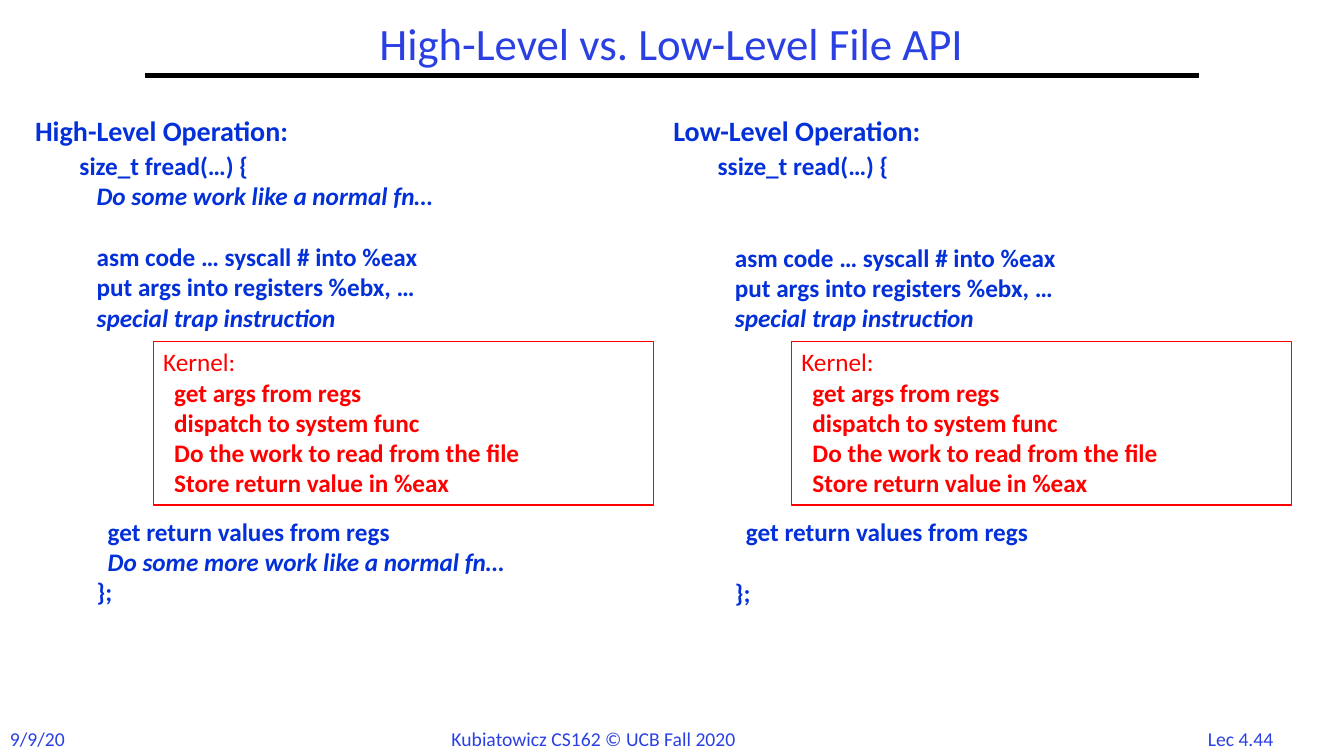
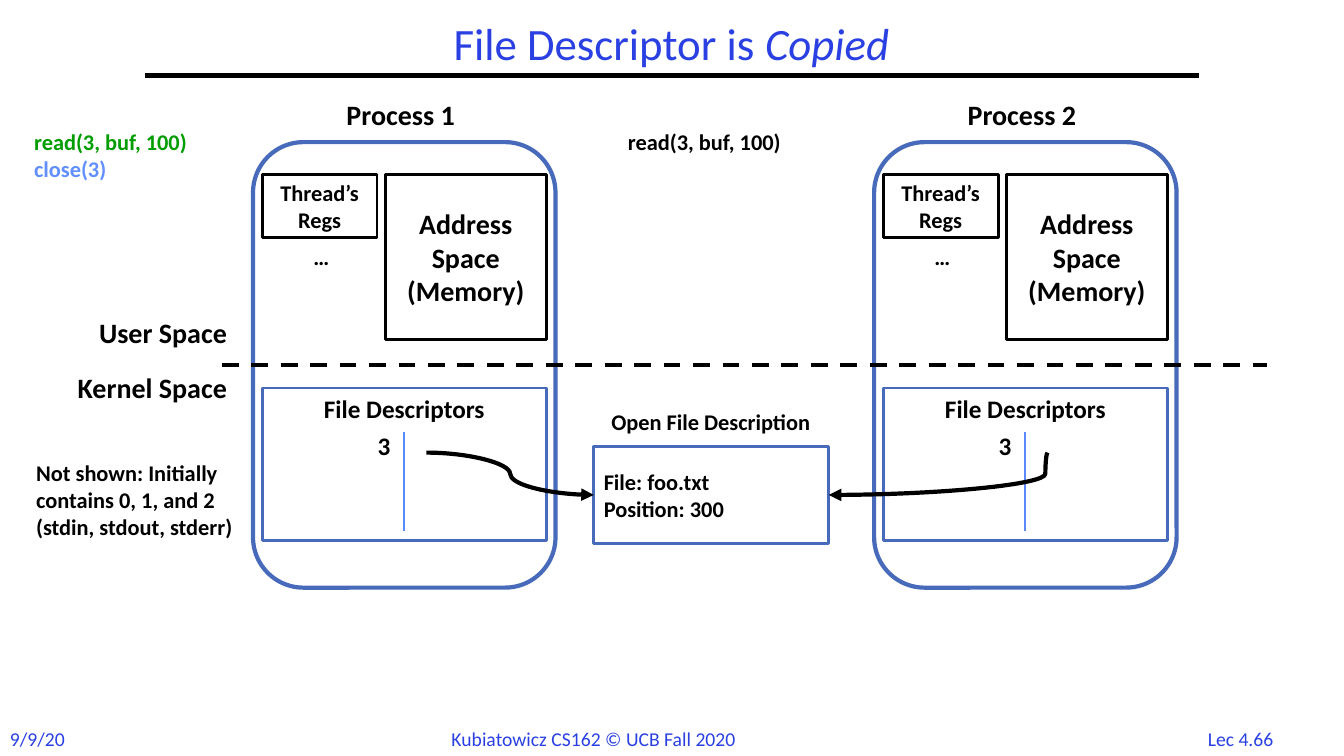
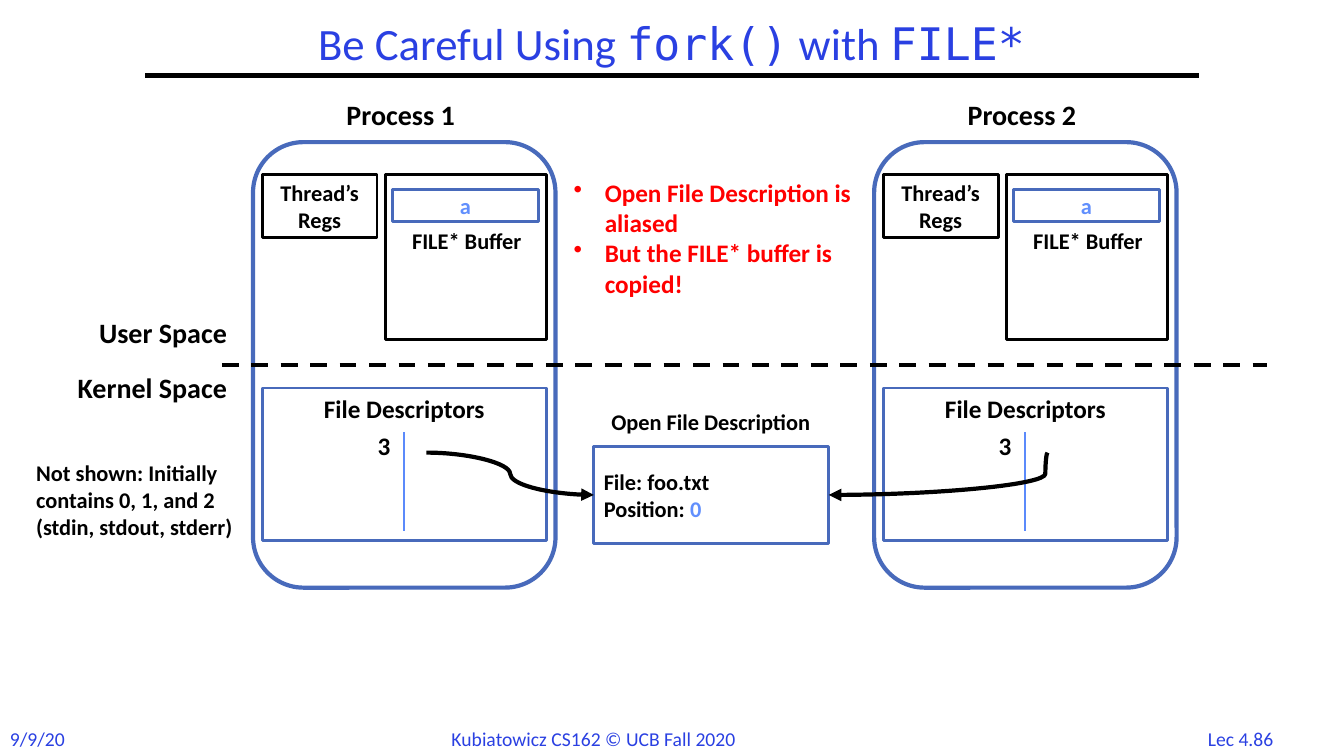
import pptx
import pptx.util
import pptx.dml.color
import pptx.enum.dml
import pptx.enum.shapes
import pptx.enum.text
import pptx.oxml
import pptx.oxml.ns
import lxml.etree

Inches = pptx.util.Inches
Pt = pptx.util.Pt
ALIGN = pptx.enum.text.PP_ALIGN
ANCHOR = pptx.enum.text.MSO_ANCHOR
SHAPE = pptx.enum.shapes.MSO_SHAPE
LINK = pptx.enum.shapes.MSO_CONNECTOR

FONT, MONO = "Calibri", "DejaVu Sans Mono"
TITLE, CODE, RED = "2A40E2", "0330D8", "FF0000"
BLACK, WHITE, GREEN = "000000", "FFFFFF", "009D00"
FRAME, RULE, SKY = "486ABB", "5B8AFB", "618FFD"

# A line of text is a string or a dict; a run is a pair of text and font options.
BLANK = 22
INNER = 0.17
FOOTER = "Kubiatowicz CS162 © UCB Fall 2020"
DATE = "9/9/20"

TRAP = [
    {"text": "put args into registers %ebx, …", "indent": INNER},
    {"text": "special trap instruction", "indent": INNER, "italic": True},
]
ASM = {"text": "asm code … syscall # into %eax", "indent": INNER}
RESULT = {"text": "get return values from regs", "indent": 0.11}
KERNEL = [{"text": "Kernel:", "bold": False}] + [
    {"text": text, "indent": 0.11} for text in (
        "get args from regs", "dispatch to system func",
        "Do the work to read from the file", "Store return value in %eax")]

CALLS = [
    {"head": "High-Level Operation:",
     "start": ["size_t fread(…) {",
               {"text": "Do some work like a normal fn…", "indent": INNER, "italic": True},
               {**ASM, "before": BLANK}, *TRAP],
     "end": [RESULT,
             {"text": "Do some more work like a normal fn…", "indent": 0.11, "italic": True},
             "};"]},
    {"head": "Low-Level Operation:",
     "start": ["ssize_t read(…) {", {**ASM, "before": 2 * BLANK}, *TRAP],
     "end": [RESULT, {"text": "};", "before": BLANK}]},
]
CALL_STEP = 6.33

PROCESSES = ["Process 1", "Process 2"]
PROCESS_STEP = 6.16
SPACES = [("User Space", 3.08), ("Kernel Space", 3.63)]
NOT_SHOWN = "Not shown: Initially contains 0, 1, and 2 (stdin, stdout, stderr)"
ALIASED = ["Open File Description is aliased", "But the FILE* buffer is copied!"]


def rgb(code):
    return pptx.dml.color.RGBColor.from_string(code)


def style(font, opts):
    for key in ("bold", "italic", "name"):
        if key in opts:
            setattr(font, key, opts[key])
    if "size" in opts:
        font.size = Pt(opts["size"])
    if "color" in opts:
        font.color.rgb = rgb(opts["color"])


def indent(para, left, bullet):
    """Set the left indent in inches, hanging behind a bullet if there is one."""
    props = para._p.get_or_add_pPr()
    props.set("marL", str(Inches(left)))
    if bullet:
        props.set("indent", str(-Inches(left)))
        mark = lxml.etree.SubElement(props, pptx.oxml.ns.qn("a:buChar"))
        mark.set("char", "•")


def write(shape, lines, size, color=BLACK, bold=True, align=ALIGN.LEFT,
          anchor=ANCHOR.TOP, wrap=True):
    frame = shape.text_frame
    frame.word_wrap = wrap
    frame.vertical_anchor = anchor
    base = {"name": FONT, "size": size, "color": color, "bold": bold}
    for i, line in enumerate(lines):
        line = {"text": line} if isinstance(line, str) else line
        para = frame.add_paragraph() if i else frame.paragraphs[0]
        para.alignment = align
        if "indent" in line:
            indent(para, line["indent"], line.get("bullet"))
        if "before" in line:
            para.space_before = Pt(line["before"])
        style(para.font, {**base, **line})
        for text, opts in line.get("runs") or [(line["text"], {})]:
            run = para.add_run()
            run.text = text
            style(run.font, opts)
    return shape


def label(slide, box, lines, size, **opts):
    shape = slide.shapes.add_textbox(*map(Inches, box))
    return write(shape, lines, size, **opts)


def block(slide, box, line, width=2, fill=WHITE, kind=SHAPE.RECTANGLE):
    shape = slide.shapes.add_shape(kind, *map(Inches, box))
    shape.shadow.inherit = False
    if fill:
        shape.fill.solid()
        shape.fill.fore_color.rgb = rgb(fill)
    else:
        shape.fill.background()
    shape.line.color.rgb = rgb(line)
    shape.line.width = Pt(width)
    return shape


def connect(slide, start, end, color=BLACK, width=3, kind=LINK.STRAIGHT):
    link = slide.shapes.add_connector(kind, *map(Inches, start + end))
    link.line.color.rgb = rgb(color)
    link.line.width = Pt(width)
    lxml.etree.SubElement(link._element.spPr, pptx.oxml.ns.qn("a:effectLst"))
    return link


def arrow(slide, start, end, target, side, bend):
    """Draw a curved arrow to a side of target, turning at the share bend."""
    link = connect(slide, start, end, kind=LINK.CURVE)
    link.end_connect(target, side)
    tip = lxml.etree.SubElement(link.line._get_or_add_ln(), pptx.oxml.ns.qn("a:tailEnd"))
    tip.set("type", "triangle")
    guides = link._element.spPr.prstGeom.get_or_add_avLst()
    guide = lxml.etree.SubElement(guides, pptx.oxml.ns.qn("a:gd"))
    guide.set("name", "adj1")
    guide.set("fmla", f"val {round(bend * 100000)}")


def add_slide(deck, title, number):
    slide = deck.slides.add_slide(deck.slide_layouts[6])
    for box, text, align in (
            ((11.82, 7.16, 0.97, 0.33), f"Lec {number}", ALIGN.CENTER),
            ((0, 7.16, 0.75, 0.34), DATE, ALIGN.LEFT),
            ((4.38, 7.16, 3.43, 0.34), FOOTER, ALIGN.LEFT)):
        label(slide, box, [text], 14, color=TITLE, bold=False, align=align, wrap=False)
    connect(slide, (1.44, 0.75), (11.89, 0.75))
    head = label(slide, (1.44, 0.17, 10.44, 0.58), [{"runs": title}], 32, color=TITLE,
                 bold=False, align=ALIGN.CENTER, anchor=ANCHOR.MIDDLE)
    head.text_frame.paragraphs[0].line_spacing = 0.9
    return slide


def add_call(slide, call, x):
    label(slide, (x + 0.25, 1.08, 3.13, 0.44), [call["head"]], 20, color=CODE)
    label(slide, (x + 0.69, 1.44, 5.73, 1.92), call["start"], 18, color=CODE)
    label(slide, (x + 0.86, 5.07, 5.55, 1.01), call["end"], 18, color=CODE)
    kernel = block(slide, (x + 1.52, 3.39, 4.96, 1.62), RED, 1, None)
    write(kernel, KERNEL, 18, color=RED)


def add_process(slide, name, x, buffer):
    """Draw a process; buffer shows a FILE* buffer in place of the memory label."""
    mid = {"align": ALIGN.CENTER, "anchor": ANCHOR.MIDDLE}
    block(slide, (x, 1.41, 3, 4.42), FRAME, 3, None, SHAPE.ROUNDED_RECTANGLE)
    label(slide, (x + 0.7, 0.92, 1.53, 0.44), [name], 20, align=ALIGN.CENTER)
    memory = block(slide, (x + 1.31, 1.73, 1.6, 1.64), BLACK)
    regs = block(slide, (x + 0.09, 1.73, 1.14, 0.63), BLACK)
    write(regs, ["Thread’s Regs"], 16, **mid)
    if buffer:
        data = block(slide, (x + 1.38, 1.88, 1.45, 0.32), FRAME, fill=None)
        write(data, [buffer], 16, color=SKY, **mid)
        label(slide, (x + 1.37, 2.2, 1.5, 0.37), ["FILE* Buffer"], 16, align=ALIGN.CENTER)
    else:
        write(memory, ["Address Space (Memory)"], 20, **mid)
        label(slide, (x + 0.5, 2.36, 0.43, 0.37), ["…"], 16)
    table = block(slide, (x + 0.09, 3.85, 2.82, 1.51), FRAME)
    write(table, ["File Descriptors"], 18, align=ALIGN.CENTER)
    connect(slide, (x + 1.5, 4.29), (x + 1.5, 5.27), RULE, 1.5)
    label(slide, (x + 1.12, 4.22, 0.34, 0.4), ["3"], 18, align=ALIGN.RIGHT)


def add_diagram(slide, position, buffer=None):
    for i, name in enumerate(PROCESSES):
        add_process(slide, name, 2.51 + i * PROCESS_STEP, buffer)
    connect(slide, (2.2, 3.62), (12.57, 3.62)).line.dash_style = \
        pptx.enum.dml.MSO_LINE.DASH
    for text, y in SPACES:
        label(slide, (0.37, y, 1.98, 0.44), [text], 20, align=ALIGN.RIGHT)
    label(slide, (0.26, 4.51, 2.21, 1.18), [NOT_SHOWN], 16)
    label(slide, (5.79, 4, 2.52, 0.37), ["Open File Description"], 16, align=ALIGN.CENTER)
    file = block(slide, (5.89, 4.43, 2.33, 0.96), FRAME)
    write(file, ["File: foo.txt", {"runs": position}], 16, anchor=ANCHOR.MIDDLE)
    arrow(slide, (4.23, 4.49), (5.89, 4.91), file, 1, 0.5)
    arrow(slide, (10.39, 4.49), (8.22, 4.91), file, 3, 0.01)


def main():
    deck = pptx.Presentation()
    deck.slide_width, deck.slide_height = Inches(13.33), Inches(7.5)

    slide = add_slide(deck, [("High-Level vs. Low-Level File API", {})], "4.44")
    for i, call in enumerate(CALLS):
        add_call(slide, call, i * CALL_STEP)

    slide = add_slide(deck, [("File Descriptor is ", {}), ("Copied", {"italic": True})], "4.66")
    add_diagram(slide, [("Position: 300", {})])
    label(slide, (0.24, 1.22, 1.93, 0.64),
          [{"text": "read(3, buf, 100)", "color": GREEN}, {"text": "close(3)", "color": SKY}], 16)
    label(slide, (6.13, 1.22, 1.93, 0.37), ["read(3, buf, 100)"], 16)

    mono = {"name": MONO}
    slide = add_slide(deck, [("Be Careful Using ", {}), ("fork()", mono),
                             (" with ", {}), ("FILE*", mono)], "4.86")
    add_diagram(slide, [("Position: ", {}), ("0", {"color": SKY})], buffer="a")
    label(slide, (5.59, 1.71, 3.06, 1.62),
          [{"text": text, "indent": 0.31, "bullet": True} for text in ALIASED], 18, color=RED)

    deck.save("out.pptx")


if __name__ == "__main__":
    main()
